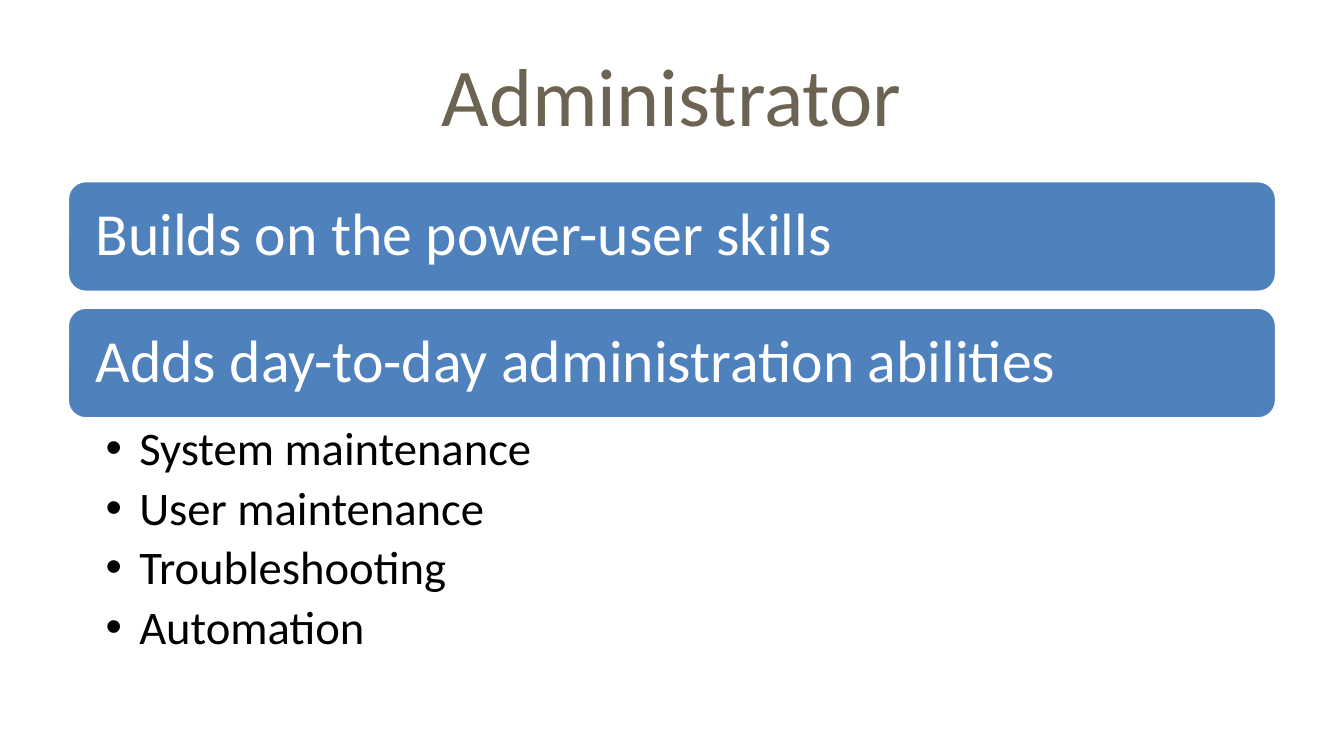
from lxml.etree import SubElement
from pptx import Presentation
from pptx.dml.color import RGBColor
from pptx.enum.shapes import MSO_SHAPE as Shape
from pptx.enum.text import MSO_ANCHOR as Anchor, MSO_AUTO_SIZE as AutoSize, PP_ALIGN as Align
from pptx.oxml.ns import qn
from pptx.util import Pt

TITLE = "Administrator"
BANNERS = ["Builds on the power-user skills", "Adds day-to-day administration abilities"]
DUTIES = ["System maintenance", "User maintenance", "Troubleshooting", "Automation"]

COLORS = {"title": "6C6352", "banner": "4F81BD", "white": "FFFFFF", "text": "000000"}
FONT = "Calibri"
LEFT, WIDTH = 36, 648
BANNER_TOP, BANNER_HEIGHT, BANNER_STEP = 96.7, 60, 67.8
INDENT = 18


def color(name):
    return RGBColor.from_string(COLORS[name])


def place(shape, top, height):
    shape.left, shape.top, shape.width, shape.height = map(Pt, (LEFT, top, WIDTH, height))


def set_frame(frame, anchor, left, top, right, bottom):
    frame.word_wrap = True
    frame.auto_size = AutoSize.NONE
    frame.vertical_anchor = anchor
    frame.margin_left, frame.margin_top = Pt(left), Pt(top)
    frame.margin_right, frame.margin_bottom = Pt(right), Pt(bottom)


def add_text(paragraph, text, size, color_name, align=Align.LEFT):
    paragraph.alignment = align
    run = paragraph.add_run()
    run.text = text
    run.font.name = FONT
    run.font.size = Pt(size)
    run.font.color.rgb = color(color_name)


def add_bullet(paragraph):
    properties = paragraph._p.get_or_add_pPr()
    properties.set("marL", str(Pt(INDENT)))
    properties.set("indent", str(Pt(-INDENT)))
    SubElement(properties, qn("a:buFont"), typeface="Arial")
    SubElement(properties, qn("a:buChar"), char="•")


def add_banner(slide, text, top):
    banner = slide.shapes.add_shape(
        Shape.ROUNDED_RECTANGLE, Pt(LEFT), Pt(top), Pt(WIDTH), Pt(BANNER_HEIGHT))
    banner.shadow.inherit = False
    banner.fill.solid()
    banner.fill.fore_color.rgb = color("banner")
    banner.line.color.rgb = color("white")
    banner.line.width = Pt(2)
    set_frame(banner.text_frame, Anchor.MIDDLE, 12.3, 12.3, 12.3, 12.3)
    paragraph = banner.text_frame.paragraphs[0]
    paragraph.line_spacing = 0.9
    add_text(paragraph, text, 32, "white")


def main():
    """Build the Administrator slide."""
    presentation = Presentation()
    presentation.slide_width, presentation.slide_height = Pt(720), Pt(405)
    slide = presentation.slides.add_slide(presentation.slide_layouts[1])
    title, body = slide.placeholders

    place(title, 16.2, 67.5)
    set_frame(title.text_frame, Anchor.MIDDLE, 7.2, 3.6, 7.2, 3.6)
    add_text(title.text_frame.paragraphs[0], TITLE, 44, "title", Align.CENTER)

    for index, text in enumerate(BANNERS):
        add_banner(slide, text, BANNER_TOP + index * BANNER_STEP)

    place(body, BANNER_TOP + BANNER_STEP + BANNER_HEIGHT, 135.4)
    frame = body.text_frame
    set_frame(frame, Anchor.TOP, 20.6, 3.2, 17.8, 3.2)
    for index, duty in enumerate(DUTIES):
        paragraph = frame.add_paragraph() if index else frame.paragraphs[0]
        paragraph.level = 1
        add_bullet(paragraph)
        paragraph.line_spacing = 0.9
        paragraph.space_before, paragraph.space_after = Pt(0), Pt(5)
        add_text(paragraph, duty, 25, "text")

    presentation.save("out.pptx")


if __name__ == "__main__":
    main()
